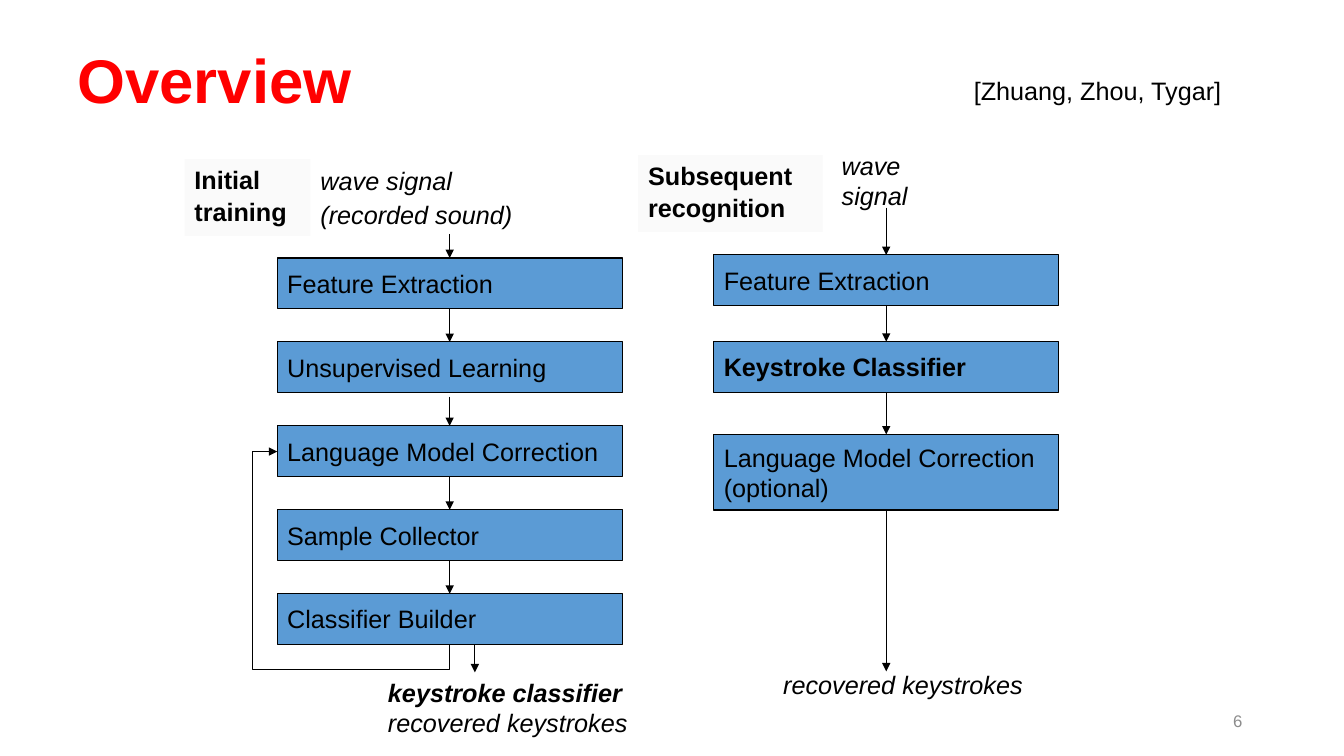
from dataclasses import dataclass

from lxml.etree import SubElement
from pptx import Presentation
from pptx.dml.color import RGBColor
from pptx.enum.shapes import MSO_CONNECTOR as Connector, MSO_SHAPE as Preset
from pptx.enum.text import MSO_ANCHOR as Anchor, PP_ALIGN as Align
from pptx.oxml.ns import qn
from pptx.util import Inches, Pt

COLORS = {
    "title": "FF0000",
    "text": "000000",
    "line": "000000",
    "step": "5B9BD5",
    "label": "FAFAFA",
    "number": "8C8C8C",
}
STEP_WIDTH = 3.42
STEP_HEIGHT = 0.5
LEFT_FLOW, RIGHT_FLOW = 2.75, 7.08
FIRST_TOP, PITCH = 2.56, 0.8325


@dataclass
class Line:
    text: str
    bold: bool = False
    italic: bool = False
    spacing: float = 1.0
    before: float = 0


@dataclass
class Step:
    lines: list[Line]
    top: float
    arrow: float
    height: float = STEP_HEIGHT


def color(name: str) -> RGBColor:
    return RGBColor.from_string(COLORS[name])


def write(box, lines: list[Line], size: float = 18, ink: str = "text",
          anchor=Anchor.TOP, align=Align.LEFT) -> None:
    frame = box.text_frame
    frame.word_wrap = True
    frame.vertical_anchor = anchor
    for index, line in enumerate(lines):
        para = frame.paragraphs[0] if index == 0 else frame.add_paragraph()
        para.alignment = align
        para.line_spacing = line.spacing
        para.space_before = Pt(line.before)
        span = para.add_run()
        span.text = line.text
        span.font.name = "Arial"
        span.font.size = Pt(size)
        span.font.bold = line.bold
        span.font.italic = line.italic
        span.font.color.rgb = color(ink)


def add_text(page, left: float, top: float, width: float, height: float,
             lines: list[Line], **style) -> None:
    box = page.shapes.add_textbox(*map(Inches, (left, top, width, height)))
    write(box, lines, **style)


def add_box(page, left: float, top: float, width: float, height: float,
            lines: list[Line], fill: str, outlined: bool = False, **style) -> None:
    box = page.shapes.add_shape(
        Preset.RECTANGLE, *map(Inches, (left, top, width, height)))
    box.shadow.inherit = False
    box.fill.solid()
    box.fill.fore_color.rgb = color(fill)
    if outlined:
        box.line.color.rgb = color("line")
        box.line.width = Pt(0.75)
    else:
        box.line.fill.background()
    write(box, lines, **style)


def style_arrow(shape) -> None:
    """Give a line or open outline its stroke and end arrowhead."""
    shape.line.color.rgb = color("line")
    shape.line.width = Pt(0.75)
    SubElement(shape.line._get_or_add_ln(), qn("a:tailEnd"), type="triangle")


def add_down_arrow(page, x: float, start: float, end: float) -> None:
    arrow = page.shapes.add_connector(
        Connector.STRAIGHT, *map(Inches, (x, start, x, end)))
    style_arrow(arrow)
    SubElement(arrow._element.spPr, qn("a:effectLst"))


def add_feedback(page, points: list[tuple[float, float]]) -> None:
    """Draw the bent arrow that loops back to an earlier step."""
    first, *rest = [(Inches(x), Inches(y)) for x, y in points]
    builder = page.shapes.build_freeform(*first)
    builder.add_line_segments(rest, close=False)
    loop = builder.convert_to_shape()
    loop.shadow.inherit = False
    loop.fill.background()
    style_arrow(loop)


def add_flow(page, left: float, steps: list[Step]) -> None:
    """Draw each step with the arrow that leads into it."""
    for step in steps:
        add_box(page, left, step.top, STEP_WIDTH, step.height, step.lines,
                "step", outlined=True, anchor=Anchor.MIDDLE)
        add_down_arrow(page, left + STEP_WIDTH / 2, step.top - step.arrow, step.top)


def add_label(page, left: float, top: float, width: float,
              first: str, second: str) -> None:
    add_box(page, left, top, width, 0.76,
            [Line(first, bold=True),
             Line(second, bold=True, spacing=0.6, before=9)], "label")


def add_training(page) -> None:
    add_label(page, 1.83, 1.58, 1.25, "Initial", "training")
    add_text(page, 3.08, 1.67, 2.42, 0.68,
             [Line("wave signal", italic=True, spacing=0.7),
              Line("(recorded sound)", italic=True, spacing=0.7, before=9)])
    arrows = {
        "Feature Extraction": 0.24,
        "Unsupervised Learning": 0.33,
        "Language Model Correction": 0.29,
        "Sample Collector": 0.33,
        "Classifier Builder": 0.33,
    }
    add_flow(page, LEFT_FLOW,
             [Step([Line(text)], FIRST_TOP + index * PITCH, arrow)
              for index, (text, arrow) in enumerate(arrows.items())])

    center = LEFT_FLOW + STEP_WIDTH / 2
    bottom = FIRST_TOP + 4 * PITCH + STEP_HEIGHT
    add_feedback(page, [(center, bottom), (center, 6.64), (2.5, 6.64),
                        (2.5, 4.48), (LEFT_FLOW, 4.48)])
    add_down_arrow(page, center + 0.25, bottom, 6.67)
    add_text(page, 3.75, 6.67, 2.67, 0.71,
             [Line("keystroke classifier", bold=True, italic=True),
              Line("recovered keystrokes", italic=True)])


def add_recognition(page) -> None:
    add_label(page, 6.33, 1.54, 1.83, "Subsequent", "recognition")
    add_text(page, 8.25, 1.44, 1.1, 0.71, [Line("wave signal", italic=True)])
    add_flow(page, RIGHT_FLOW, [
        Step([Line("Feature Extraction")], 2.53, 0.47),
        Step([Line("Keystroke Classifier", bold=True)], 3.39, 0.36),
        Step([Line("Language Model Correction"), Line("(optional)")],
             4.31, 0.42, height=0.75),
    ])
    add_down_arrow(page, RIGHT_FLOW + STEP_WIDTH / 2, 5.06, 6.66)
    add_text(page, 7.67, 6.59, 2.67, 0.4,
             [Line("recovered keystrokes", italic=True)])


def main() -> None:
    deck = Presentation()
    deck.slide_width, deck.slide_height = Inches(13.33), Inches(7.5)
    page = deck.slides.add_slide(deck.slide_layouts[6])
    add_text(page, 0.67, 0.1, 11.5, 1.45,
             [Line("Overview", bold=True, spacing=0.9)],
             size=44, ink="title", anchor=Anchor.MIDDLE)
    add_training(page)
    add_recognition(page)
    add_text(page, 9.56, 0.7, 2.72, 0.4, [Line("[Zhuang, Zhou, Tygar]")])
    add_text(page, 9.42, 6.95, 3, 0.4, [Line("6")], size=12, ink="number",
             anchor=Anchor.MIDDLE, align=Align.RIGHT)
    deck.save("out.pptx")


if __name__ == "__main__":
    main()
